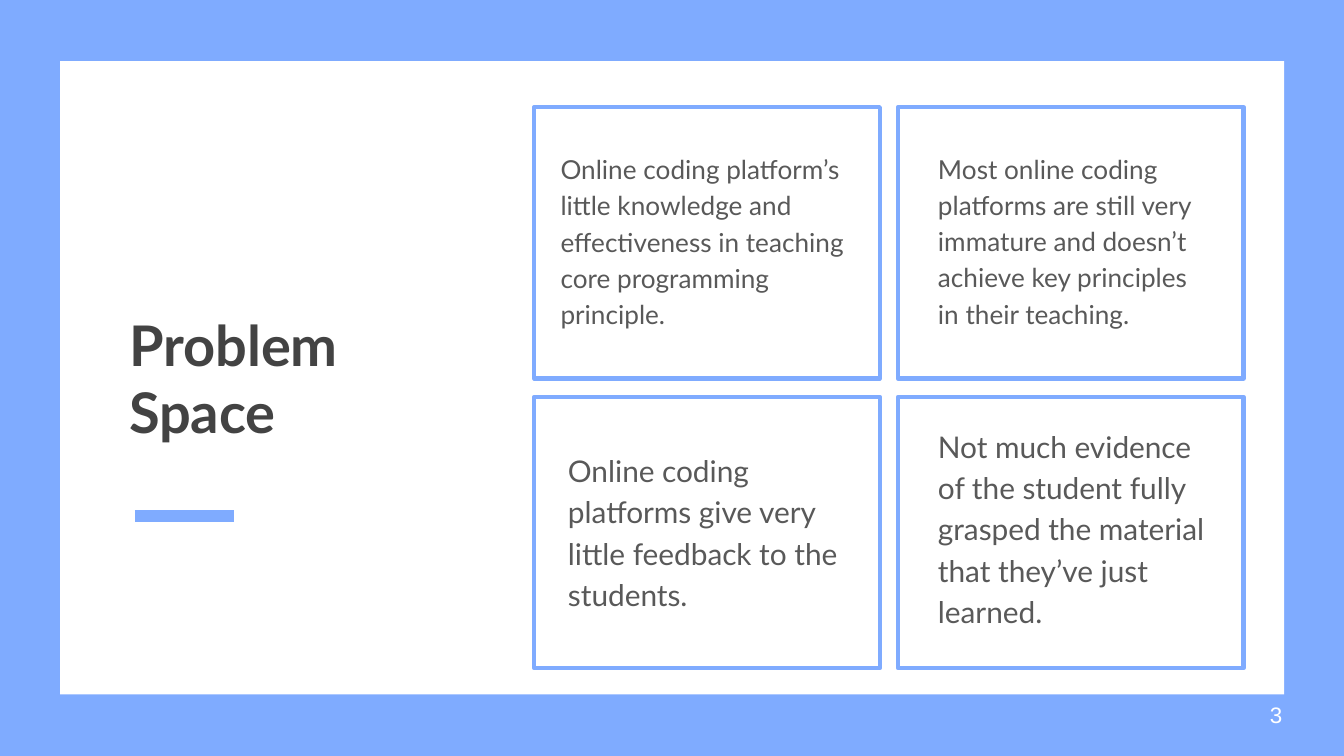
from dataclasses import dataclass

from lxml.etree import SubElement
from pptx import Presentation
from pptx.dml.color import RGBColor
from pptx.enum.shapes import MSO_CONNECTOR, MSO_SHAPE
from pptx.enum.text import MSO_ANCHOR as Anchor, MSO_AUTO_SIZE as AutoSize, PP_ALIGN as Align
from pptx.oxml.ns import qn
from pptx.util import Pt

BLUE, WHITE, DARK, GREY = "7FABFF", "FFFFFF", "434343", "595959"
CARD_LEFT, CARD_TOP = 286.2, 57.4
CARD_WIDTH, CARD_HEIGHT = 185.2, 145.4
COLUMN_STEP, ROW_STEP = 194.8, 155.2
INSET = 7.2


@dataclass
class Box:
    left: float
    top: float
    width: float
    height: float

    def points(self) -> tuple:
        return Pt(self.left), Pt(self.top), Pt(self.width), Pt(self.height)


@dataclass
class Problem:
    column: int
    row: int
    text: str
    size: float
    box: Box


PROBLEMS = [
    Problem(0, 0, "Online coding platform’s little knowledge and effectiveness in teaching "
            "core programming principle.", 14, Box(293.2, 72.7, 178.6, 114.5)),
    Problem(1, 0, "Most online coding platforms are still very immature and doesn’t achieve "
            "key principles in their teaching.", 14, Box(495.4, 72.7, 157, 89.3)),
    Problem(0, 1, "Online coding platforms give very little feedback to the students.",
            16, Box(297.2, 232.6, 170.6, 97.2)),
    Problem(1, 1, "Not much evidence of the student fully grasped the material that they’ve "
            "just learned.", 16, Box(495.4, 219.6, 160.6, 123.1)),
]


def rgb(color: str) -> RGBColor:
    return RGBColor.from_string(color)


def add_panel(slide, box: Box, fill: str = "", outline: str = "") -> None:
    panel = slide.shapes.add_shape(MSO_SHAPE.RECTANGLE, *box.points())
    panel.shadow.inherit = False
    if fill:
        panel.fill.solid()
        panel.fill.fore_color.rgb = rgb(fill)
    else:
        panel.fill.background()
    if outline:
        panel.line.color.rgb = rgb(outline)
        panel.line.width = Pt(2.25)
    else:
        panel.line.fill.background()


def write(holder, text: str, size: float, font: str, color: str,
          bold: bool = False, anchor: Anchor = Anchor.TOP):
    """Fill a text box or placeholder and return its paragraph."""
    frame = holder.text_frame
    frame.text = text
    frame.word_wrap = True
    frame.auto_size = AutoSize.NONE
    frame.vertical_anchor = anchor
    frame.margin_left = frame.margin_right = Pt(INSET)
    frame.margin_top = frame.margin_bottom = Pt(INSET)
    paragraph = frame.paragraphs[0]
    paragraph.alignment = Align.LEFT
    paragraph.font.size = Pt(size)
    paragraph.font.name = font
    paragraph.font.bold = bold
    paragraph.font.color.rgb = rgb(color)
    return paragraph


def add_problem(slide, problem: Problem) -> None:
    text_box = slide.shapes.add_textbox(*problem.box.points())
    paragraph = write(text_box, problem.text, problem.size, "Lato", GREY)
    paragraph.line_spacing = 1.15
    paragraph.space_after = Pt(12)


def main() -> None:
    deck = Presentation()
    deck.slide_width, deck.slide_height = Pt(720), Pt(405)
    slide = deck.slides.add_slide(deck.slide_layouts[5])
    slide.background.fill.solid()
    slide.background.fill.fore_color.rgb = rgb(BLUE)

    # White page with the accent line
    add_panel(slide, Box(32.2, 32.8, 655.8, 339.2), fill=WHITE)
    accent = slide.shapes.add_connector(MSO_CONNECTOR.STRAIGHT, Pt(72.3), Pt(276.5),
                                        Pt(125.3), Pt(276.5))
    accent.line.color.rgb = rgb(BLUE)
    accent.line.width = Pt(6)
    SubElement(accent.element.spPr, qn("a:effectLst"))

    # Title, brought in front of the page
    title = slide.shapes.title
    title.left, title.top, title.width, title.height = Box(61.9, 136.8, 200.2, 131).points()
    write(title, "Problem Space", 30, "Lato", DARK, bold=True, anchor=Anchor.MIDDLE)
    slide.shapes.element.append(title.element)

    # Two by two grid of problems
    for problem in PROBLEMS:
        add_panel(slide, Box(CARD_LEFT + problem.column * COLUMN_STEP,
                             CARD_TOP + problem.row * ROW_STEP,
                             CARD_WIDTH, CARD_HEIGHT), outline=BLUE)
        add_problem(slide, problem)

    # Page number
    page_number = slide.shapes.add_textbox(*Box(673.2, 367.5, 43.2, 31).points())
    write(page_number, "3", 12, "Arial", WHITE, anchor=Anchor.MIDDLE)

    deck.save("out.pptx")


if __name__ == "__main__":
    main()
